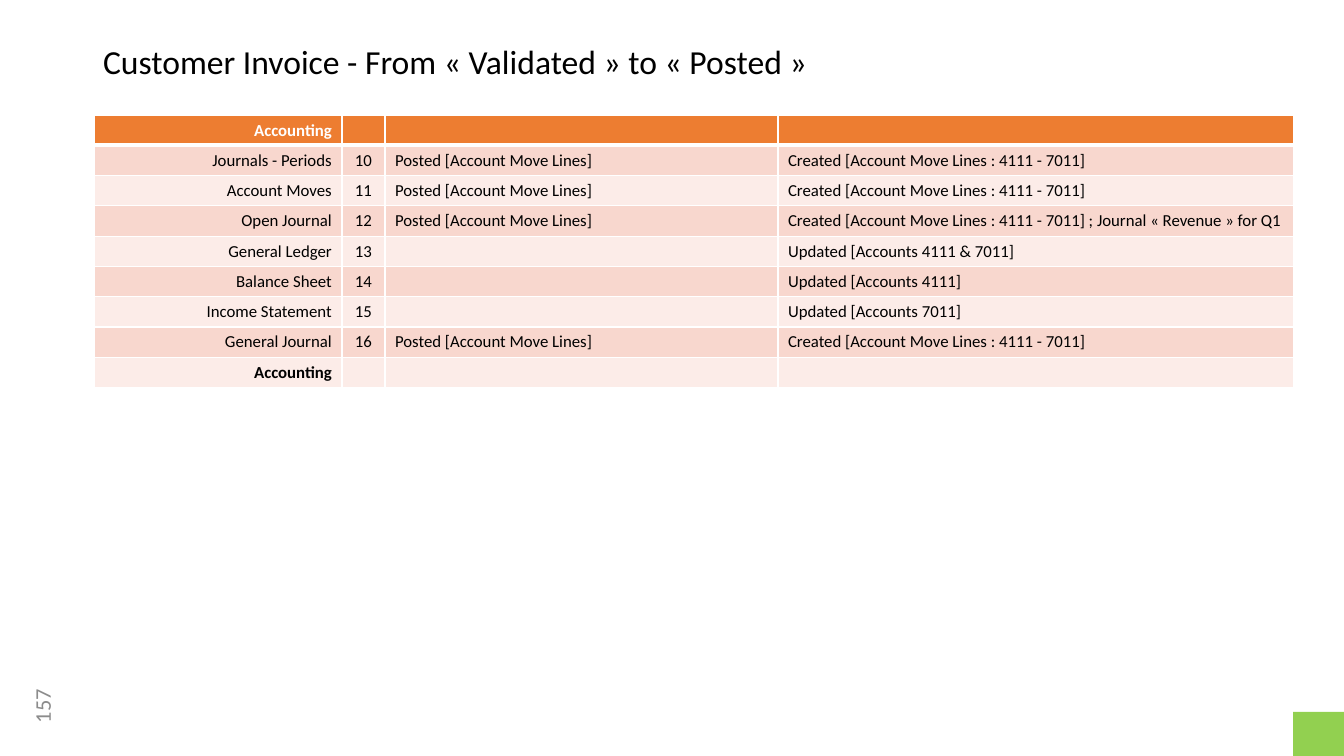
from lxml.etree import SubElement
from pptx import Presentation
from pptx.dml.color import RGBColor
from pptx.enum.shapes import MSO_SHAPE as SHAPE
from pptx.enum.text import MSO_ANCHOR as ANCHOR, PP_ALIGN as ALIGN
from pptx.oxml.ns import qn
from pptx.util import Emu, Pt

WHITE = RGBColor(0xFF, 0xFF, 0xFF)
BLACK = RGBColor(0x00, 0x00, 0x00)
GREY = RGBColor(0x8C, 0x8C, 0x8C)
GREEN = RGBColor(0x92, 0xD0, 0x50)
ORANGE = RGBColor(0xED, 0x7D, 0x31)
BANDS = [RGBColor(0xFC, 0xEC, 0xE8), RGBColor(0xF8, 0xD7, 0xCE)]

FONT = "Calibri"
POSTED = "Posted [Account Move Lines]"
CREATED = "Created [Account Move Lines : 4111 - 7011]"

# Report, effect of posting, effect on accounts; reports are numbered from 10
REPORTS = [
    ("Journals - Periods", POSTED, CREATED),
    ("Account Moves", POSTED, CREATED),
    ("Open Journal", POSTED, CREATED + " ; Journal « Revenue » for Q1"),
    ("General Ledger", "", "Updated [Accounts 4111 & 7011]"),
    ("Balance Sheet", "", "Updated [Accounts 4111]"),
    ("Income Statement", "", "Updated [Accounts 7011]"),
    ("General Journal", POSTED, CREATED),
]
SECTION = ("Accounting", "", "", "")
FIRST_NUMBER = 10
COL_WIDTHS = [248, 43, 393, 516]
COL_ALIGNS = [ALIGN.RIGHT, ALIGN.CENTER, ALIGN.LEFT, ALIGN.LEFT]
ROW_HEIGHT = 30


def px(n):
    return Emu(round(n * 914400 / 100.8))


def write(tf, text, size, color, align=ALIGN.LEFT, bold=False):
    p = tf.paragraphs[0]
    p.alignment = align
    if not text:
        # An empty cell keeps the text size, so its row stays low
        SubElement(p._p, qn("a:endParaRPr"), sz=str(size * 100))
        return p
    r = p.add_run()
    r.text = text
    font = {"name": FONT, "size": Pt(size), "bold": bold}
    for key, value in font.items():
        setattr(r.font, key, value)
    r.font.color.rgb = color
    return p


def add_title(s, text):
    sp = s.shapes.title
    box = {"left": 93, "top": 40, "width": 1159, "height": 51}
    for key, value in box.items():
        setattr(sp, key, px(value))
    sp.text_frame.vertical_anchor = ANCHOR.TOP
    write(sp.text_frame, text, 24, BLACK).line_spacing = 0.9


def add_page_number(s, text):
    sp = s.shapes.add_textbox(px(4), px(686), px(76), px(40))
    sp.rotation = 270
    tf = sp.text_frame
    tf.word_wrap = True
    tf.vertical_anchor = ANCHOR.MIDDLE
    write(tf, text, 16, GREY, ALIGN.CENTER)


def add_corner(s):
    sp = s.shapes.add_shape(SHAPE.RECTANGLE, px(1293), px(712), px(51), px(44))
    sp.shadow.inherit = False
    sp.fill.solid()
    sp.fill.fore_color.rgb = GREEN
    sp.line.fill.background()


def set_borders(cell, **widths):
    tcPr = cell._tc.get_or_add_tcPr()
    for side in ("L", "R", "T", "B"):
        ln = SubElement(tcPr, qn("a:ln" + side), w=str(Pt(widths.get(side, 1))))
        fill = SubElement(ln, qn("a:solidFill"))
        SubElement(fill, qn("a:srgbClr"), val=str(WHITE))


def add_report_table(s):
    rows = [SECTION]
    for number, (report, posting, accounts) in enumerate(REPORTS, FIRST_NUMBER):
        rows.append((report, str(number), posting, accounts))
    rows.append(SECTION)

    frame = s.shapes.add_table(len(rows), len(COL_WIDTHS), px(94), px(115),
                               px(sum(COL_WIDTHS)), px(ROW_HEIGHT * len(rows)))
    table = frame.table
    table.horz_banding = False
    for col, width in zip(table.columns, COL_WIDTHS):
        col.width = px(width)

    for i, row in enumerate(rows):
        table.rows[i].height = px(ROW_HEIGHT)
        header = i == 0
        for j, text in enumerate(row):
            cell = table.cell(i, j)
            # Thick rule between the header and the first report
            set_borders(cell, B=3 if header else 1, T=3 if i == 1 else 1)
            cell.fill.solid()
            cell.fill.fore_color.rgb = ORANGE if header else BANDS[i % 2]
            write(cell.text_frame, text, 12, WHITE if header else BLACK,
                  COL_ALIGNS[j], bold=row is SECTION)


def main():
    prs = Presentation()
    prs.slide_width, prs.slide_height = px(1344), px(756)
    s = prs.slides.add_slide(prs.slide_layouts[5])
    add_page_number(s, "157")
    add_corner(s)
    add_title(s, "Customer Invoice - From « Validated » to « Posted »")
    add_report_table(s)
    prs.save("out.pptx")


if __name__ == "__main__":
    main()
